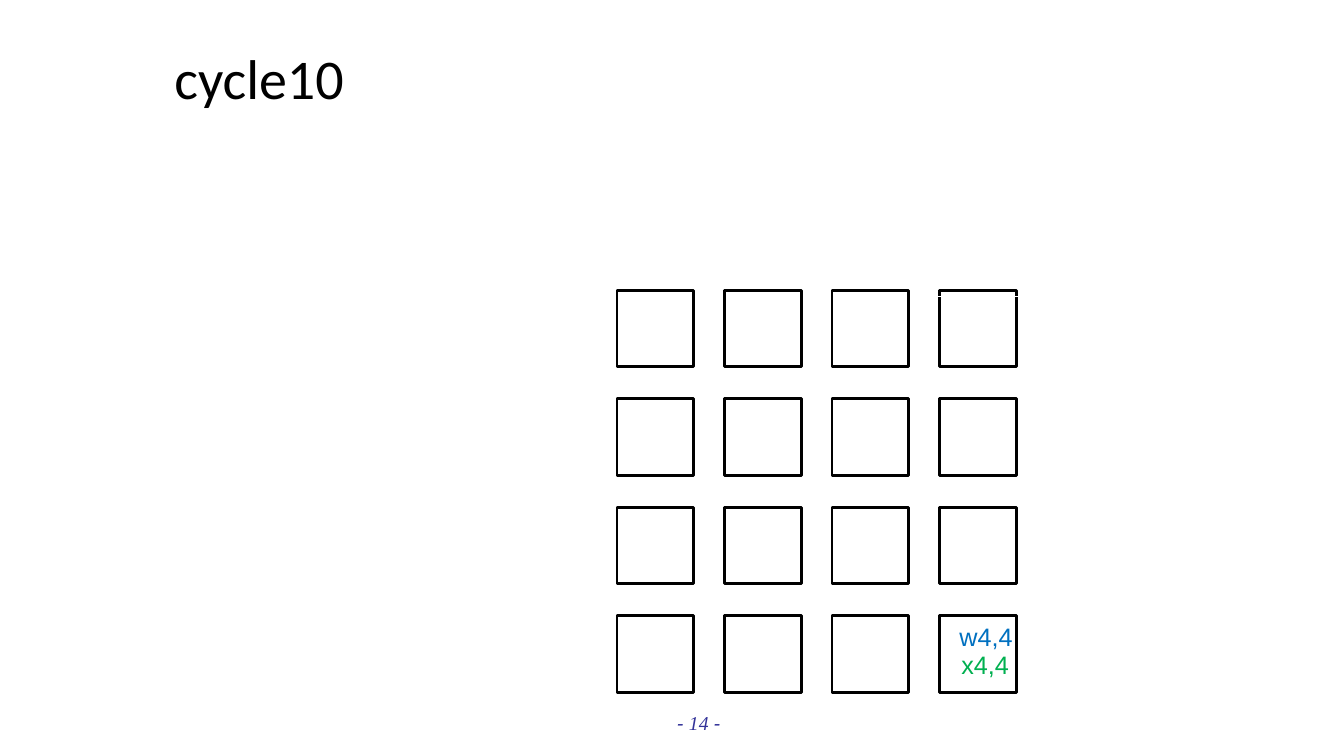
from dataclasses import dataclass

from lxml import etree
from pptx import Presentation
from pptx.dml.color import RGBColor
from pptx.enum import shapes, text
from pptx.oxml import ns
from pptx.util import Inches, Pt


@dataclass(frozen=True)
class Theme:
    black: str = "000000"
    white: str = "FFFFFF"
    navy: str = "333399"
    blue: str = "0070C0"
    green: str = "00B050"
    title_font: str = "Calibri"
    body_font: str = "Arial"
    number_font: str = "Times New Roman"
    title_size: int = 40
    label_size: int = 18
    footer_size: int = 14


@dataclass(frozen=True)
class DataTable:
    left: float
    top: float
    column_widths: list[float]
    row_heights: list[float]
    label: str
    label_cell: tuple[int, int]
    color: str
    outlined: bool = False


THEME = Theme()
NO_GRID_STYLE = "{2D5ABB26-0587-4C30-8999-92F81FD0307C}"
GRID_SIZE = 4
GRID_LEFT, GRID_TOP = 6.12, 2.88
SQUARE_SIDE = 0.76
COLUMN_STEP, ROW_STEP = 3.2 / 3, 3.23 / 3

TABLES = [
    DataTable(9.24, 2.94, [1.06] * 7, [0.99] + [1.07] * 3,
              "x4,4", (3, 0), THEME.green, outlined=True),
    DataTable(6, 5.8, [1.08] * 4, [1.05] * 7, "w4,4", (0, 3), THEME.blue),
]


def style_font(font, name: str, size: int, color: str) -> None:
    font.name = name
    font.size = Pt(size)
    font.color.rgb = RGBColor.from_string(color)


def place(shape, left: float, top: float, width: float, height: float) -> None:
    shape.left, shape.top = Inches(left), Inches(top)
    shape.width, shape.height = Inches(width), Inches(height)


def add_title(slide, wording: str) -> None:
    title = slide.shapes.title
    place(title, 1.63, 0.38, 1.9, 0.77)
    frame = title.text_frame
    frame.text = wording
    frame.word_wrap = False
    frame.auto_size = text.MSO_AUTO_SIZE.SHAPE_TO_FIT_TEXT
    frame.vertical_anchor = text.MSO_ANCHOR.TOP
    paragraph = frame.paragraphs[0]
    paragraph.alignment = text.PP_ALIGN.LEFT
    style_font(paragraph.font, THEME.title_font, THEME.title_size, THEME.black)


def add_page_number(slide) -> None:
    box = slide.shapes.add_textbox(Inches(4.46), Inches(7), Inches(2.78), Inches(0.5))
    box.text_frame.word_wrap = True
    paragraph = box.text_frame.paragraphs[0]
    paragraph.alignment = text.PP_ALIGN.RIGHT
    paragraph.font.italic = True
    for wording, font_name in (("- ", THEME.body_font), ("14 ", THEME.number_font),
                               ("-", THEME.body_font)):
        run = paragraph.add_run()
        run.text = wording
        style_font(run.font, font_name, THEME.footer_size, THEME.navy)


def add_square_grid(slide) -> None:
    group = slide.shapes.add_group_shape()
    for row in range(GRID_SIZE):
        for column in range(GRID_SIZE):
            square = group.shapes.add_shape(
                shapes.MSO_SHAPE.RECTANGLE,
                Inches(GRID_LEFT + column * COLUMN_STEP),
                Inches(GRID_TOP + row * ROW_STEP),
                Inches(SQUARE_SIDE), Inches(SQUARE_SIDE))
            square.shadow.inherit = False
            square.fill.background()
            square.line.color.rgb = RGBColor.from_string(THEME.black)
            square.line.width = Pt(2)


def add_border(cell, side: str) -> None:
    """Draw a white border on side L, T or B of a cell; call in that order."""
    properties = cell._tc.get_or_add_tcPr()
    line = etree.SubElement(properties, ns.qn(f"a:ln{side}"), w=str(Pt(1)))
    fill = etree.SubElement(line, ns.qn("a:solidFill"))
    etree.SubElement(fill, ns.qn("a:srgbClr"), val=THEME.white)


def add_data_table(slide, data: DataTable) -> None:
    row_count, column_count = len(data.row_heights), len(data.column_widths)
    frame = slide.shapes.add_table(
        row_count, column_count, Inches(data.left), Inches(data.top),
        Inches(sum(data.column_widths)), Inches(sum(data.row_heights)))
    table = frame.table
    table.first_row = table.horz_banding = False
    table._tbl.tblPr.find(ns.qn("a:tableStyleId")).text = NO_GRID_STYLE
    for column, width in zip(table.columns, data.column_widths):
        column.width = Inches(width)
    for row, height in zip(table.rows, data.row_heights):
        row.height = Inches(height)

    if data.outlined:
        for row in range(row_count):
            add_border(table.cell(row, 0), "L")
        add_border(table.cell(0, 0), "T")
        add_border(table.cell(row_count - 1, 0), "B")
    for cell in table.iter_cells():
        cell.fill.background()

    labelled = table.cell(*data.label_cell)
    labelled.text = data.label
    labelled.vertical_anchor = text.MSO_ANCHOR.MIDDLE
    labelled.margin_left = labelled.margin_right = labelled.margin_top = Inches(0.01)
    labelled.margin_bottom = 0
    paragraph = labelled.text_frame.paragraphs[0]
    paragraph.alignment = text.PP_ALIGN.CENTER
    style_font(paragraph.font, THEME.body_font, THEME.label_size, data.color)


def main() -> None:
    presentation = Presentation()
    presentation.slide_width = Inches(13.33)
    presentation.slide_height = Inches(7.5)
    slide = presentation.slides.add_slide(presentation.slide_layouts.get_by_name("Title Only"))
    add_page_number(slide)
    add_title(slide, "cycle10")
    add_square_grid(slide)
    for data in TABLES:
        add_data_table(slide, data)
    presentation.save("out.pptx")


if __name__ == "__main__":
    main()
